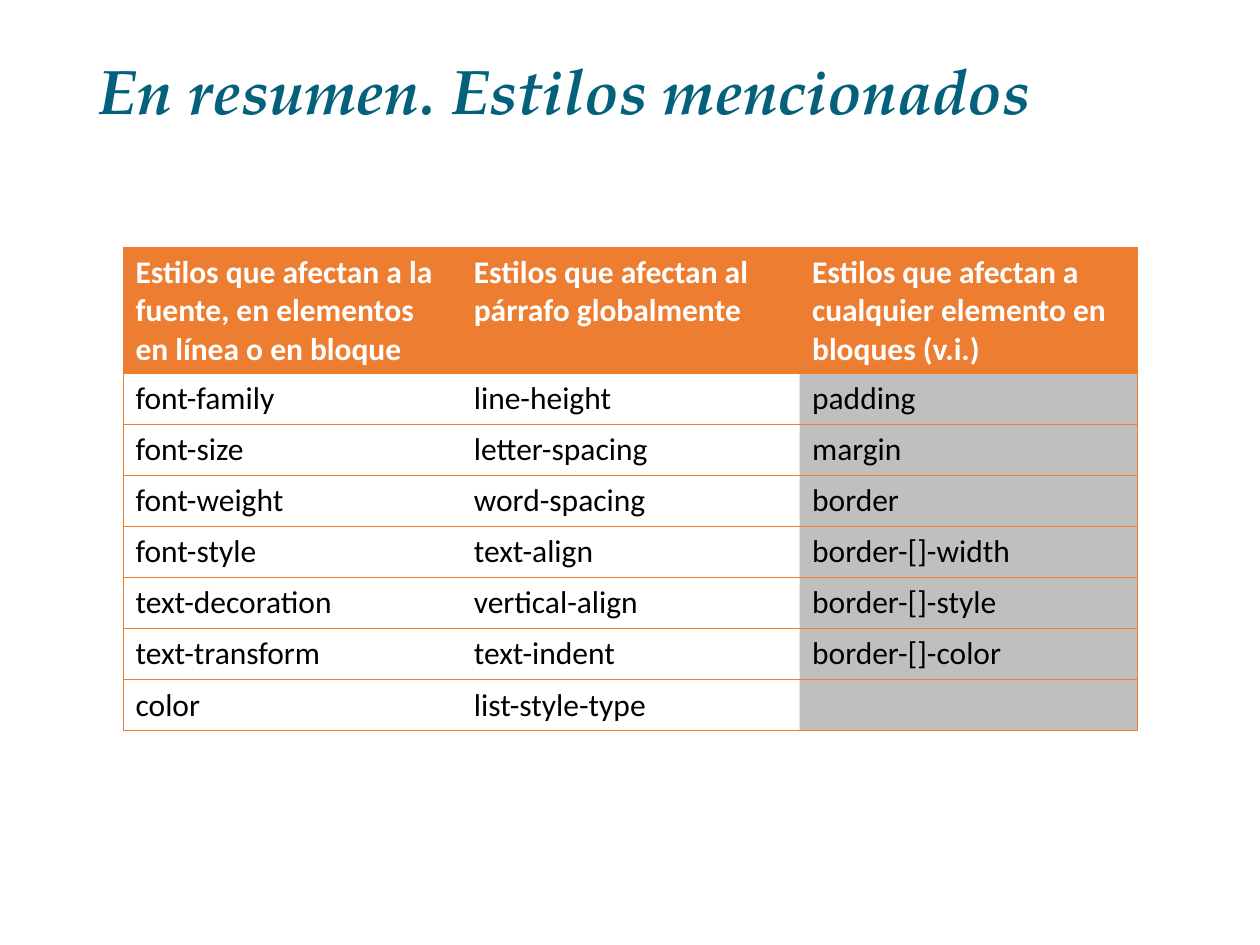
"""Build a summary slide of CSS styles grouped by what they affect."""
import lxml.etree
import pptx
import pptx.dml.color
import pptx.enum.text
import pptx.oxml.ns
import pptx.util

Pt = pptx.util.Pt
qn = pptx.oxml.ns.qn
COLORS = {
    "title": "04617B",
    "accent": "ED7D31",
    "shade": "5F5F5F",
    "header_text": "FFFFFF",
    "body_text": "000000",
}
NO_GRID_STYLE = "{2D5ABB26-0587-4C30-8999-92F81FD0307C}"
STYLES = [
    ("Estilos que afectan a la fuente, en elementos en línea o en bloque",
     "Estilos que afectan al párrafo globalmente",
     "Estilos que afectan a cualquier elemento en bloques (v.i.)"),
    ("font-family", "line-height", "padding"),
    ("font-size", "letter-spacing", "margin"),
    ("font-weight", "word-spacing", "border"),
    ("font-style", "text-align", "border-[]-width"),
    ("text-decoration", "vertical-align", "border-[]-style"),
    ("text-transform", "text-indent", "border-[]-color"),
    ("color", "list-style-type", ""),
]


def add_run(paragraph, text, font_name, size, color, bold, italic=False):
    run = paragraph.add_run()
    run.text = text
    run.font.name = font_name
    run.font.size = Pt(size)
    run.font.bold = bold
    run.font.italic = italic
    run.font.color.rgb = pptx.dml.color.RGBColor.from_string(COLORS[color])


def add_border(cell, side):
    line = lxml.etree.SubElement(cell._tc.get_or_add_tcPr(), qn(f"a:ln{side}"), w=str(Pt(0.5)))
    fill = lxml.etree.SubElement(line, qn("a:solidFill"))
    lxml.etree.SubElement(fill, qn("a:srgbClr"), val=COLORS["accent"])


deck = pptx.Presentation()
deck.slide_width, deck.slide_height = Pt(720), Pt(540)
slide = deck.slides.add_slide(deck.slide_layouts[6])

title = slide.shapes.add_textbox(Pt(49.5), Pt(28.8), Pt(621), Pt(50.4)).text_frame
title.word_wrap = True
title.vertical_anchor = pptx.enum.text.MSO_ANCHOR.MIDDLE
title.paragraphs[0].line_spacing = 0.9
add_run(title.paragraphs[0], "En resumen. Estilos mencionados",
        "TeX Gyre Pagella", 36, "title", True, True)

summary = slide.shapes.add_table(
    len(STYLES), 3, Pt(70.3), Pt(141.2), Pt(579.9), Pt(276.5)).table
summary.horz_banding = False
summary._tbl.tblPr.find(qn("a:tableStyleId")).text = NO_GRID_STYLE
for column in summary.columns:
    column.width = Pt(193.3)

for row_index, names in enumerate(STYLES):
    is_header = row_index == 0
    summary.rows[row_index].height = Pt(62.6 if is_header else 29.2)
    for column_index, name in enumerate(names):
        cell = summary.cell(row_index, column_index)
        sides = {"L": column_index == 0, "R": column_index == 2,
                 "T": is_header or row_index % 2 == 1, "B": row_index % 2 == 1}
        for side, is_drawn in sides.items():
            if is_drawn:
                add_border(cell, side)
        if is_header or column_index == 2:
            cell.fill.solid()
            cell.fill.fore_color.rgb = pptx.dml.color.RGBColor.from_string(
                COLORS["accent" if is_header else "shade"])
            if not is_header:
                shade = cell._tc.tcPr.find(f"{qn('a:solidFill')}/{qn('a:srgbClr')}")
                lxml.etree.SubElement(shade, qn("a:alpha"), val="40000")
        else:
            cell.fill.background()
        if name:
            add_run(cell.text_frame.paragraphs[0], name, "Calibri", 18,
                    "header_text" if is_header else "body_text", is_header)

deck.save("out.pptx")
